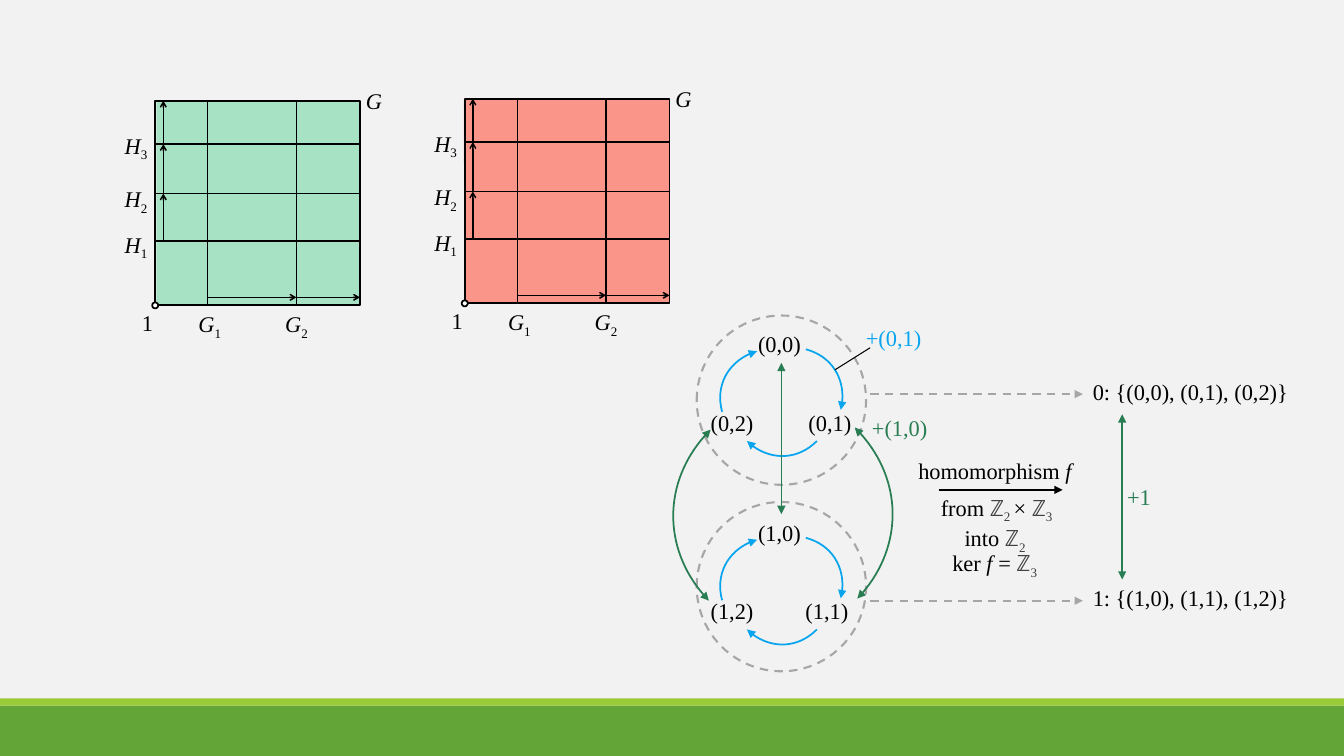
"""Build a slide with two subgroup grids and a homomorphism diagram."""
from dataclasses import dataclass

from lxml.etree import SubElement
from pptx import Presentation
from pptx.dml.color import RGBColor
from pptx.enum.dml import MSO_LINE_DASH_STYLE as Dash
from pptx.enum.shapes import MSO_CONNECTOR as Connector, MSO_SHAPE as Preset
from pptx.enum.text import MSO_AUTO_SIZE as AutoSize, PP_ALIGN as Align
from pptx.oxml.ns import qn
from pptx.util import Inches, Pt


@dataclass(frozen=True)
class Theme:
    paper: str = "F2F2F2"
    band: str = "63A537"
    stripe: str = "99CB38"
    mint: str = "A8E2C5"
    coral: str = "FA958A"
    ink: str = "000000"
    soft: str = "404040"
    white: str = "FFFFFF"
    blue: str = "08A5EF"
    green: str = "297D53"
    grey: str = "A6A6A6"
    serif: str = "Times New Roman"
    sans: str = "Calibri"
    size: int = 16
    fine: float = 0.75
    thin: float = 1
    medium: float = 1.25
    thick: float = 1.5


THEME = Theme()
TRIANGLE = {"type": "triangle"}
OPEN = {"type": "arrow", "w": "sm", "len": "sm"}
PLAIN = (None, None)
BOTH = (TRIANGLE, TRIANGLE)
TO_END = (None, TRIANGLE)
OPEN_END = (None, OPEN)

BANDS = [((0, 7, 13.33, 0.5), THEME.band), ((0, 6.93, 13.33, 0.07), THEME.stripe)]

GRIDS = [
    (1.54, 1.0, THEME.mint, [(1.14, 0.01, 0.9, 2.01), (0.01, 0.01, 1.39, 2.02)]),
    (4.61, 0.98, THEME.coral, [(-0.01, 0.01, 2.04, 0.63), (0.01, 0.43, 2.02, 1.59)]),
]
GRID_SIDE = 2.03
COLUMNS = [0.52, 1.4]
ROWS = [1.39, 0.92, 0.43]
ROW_LABELS = [1.24, 0.79, 0.26]
COLUMN_LABELS = [0.33, 1.19]

RINGS = [4.98, 3.13]
CYCLE_TOPS = [3.23, 5.1]
CYCLES = [
    [("(0,0)", 7.42, 0), ("(0,1)", 7.92, 0.78), ("(0,2)", 6.95, 0.78)],
    [("(1,0)", 7.42, 0), ("(1,1)", 7.89, 0.77), ("(1,2)", 6.95, 0.77)],
]
CYCLE_ARCS = [(7.92, 0.29, 15), (7.51, 0.9, 135), (7.09, 0.31, 255)]
SIDE_ARCS = [(7.89, 4.49, 44.1), (6.44, 4.51, 225.6)]
ARC_POINTS = [(0, 0), (0.55, 0), (1, 0.45), (1, 1)]

LABELS = [
    ((8.49, 3.17, 0.84), "+(0,1)", THEME.blue),
    ((8.55, 4.06, 0.84), "+(1,0)", THEME.green),
    ((11.08, 4.74, 0.49), "+1", THEME.green),
    ((10.74, 3.7, 2.34), "0: {(0,0), (0,1), (0,2)}", THEME.ink),
    ((10.74, 5.75, 2.34), "1: {(1,0), (1,1), (1,2)}", THEME.ink),
]

Z = ("ℤ", "grey sans")
FORMULAS = [
    ((9.01, 4.49, 1.86, 0.37), Align.LEFT, [[("homomorphism", ""), (" f", "italic")]]),
    ((9.2, 4.85, 1.37, 0.64), Align.CENTER, [
        [("from ", ""), Z, ("2 ", "grey sub"), ("× ", ""), Z, ("3", "grey sub")],
        [("into ", ""), Z, ("2 ", "grey sub")],
    ]),
    ((9.27, 5.4, 1.19, 0.37), Align.CENTER, [
        [("ker ", ""), ("f ", "italic"), ("= ", ""), Z, ("3", "grey sub")],
    ]),
]

LINES = [
    ((7.75, 3.6), (7.75, 5.1), THEME.green, THEME.thin, BOTH, False),
    ((8.63, 3.45), (8.28, 3.67), THEME.ink, THEME.fine, PLAIN, False),
    ((9.31, 4.86), (10.54, 4.86), THEME.ink, THEME.thin, TO_END, False),
    ((11.13, 4.11), (11.13, 5.75), THEME.green, THEME.thin, BOTH, False),
    ((8.63, 3.91), (10.74, 3.91), THEME.grey, THEME.thick, TO_END, True),
    ((8.63, 5.96), (10.74, 5.96), THEME.grey, THEME.thick, TO_END, True),
]


def rgb(color):
    return RGBColor.from_string(color)


def style_line(line, color, width, ends=PLAIN, dashed=False):
    line.color.rgb = rgb(color)
    line.width = Pt(width)
    if dashed:
        line.dash_style = Dash.DASH
    for tag, head in zip(("a:headEnd", "a:tailEnd"), ends):
        if head:
            SubElement(line._get_or_add_ln(), qn(tag), head)


def add_preset(part, preset, place, fill=None, line=None, width=THEME.medium, dashed=False):
    shape = part.shapes.add_shape(preset, *map(Inches, place))
    shape.shadow.inherit = False
    if fill:
        shape.fill.solid()
        shape.fill.fore_color.rgb = rgb(fill)
    else:
        shape.fill.background()
    if line:
        style_line(shape.line, line, width, dashed=dashed)
    else:
        shape.line.fill.background()


def add_line(part, start, end, color=THEME.ink, width=THEME.thin, ends=PLAIN, dashed=False):
    points = map(Inches, (*start, *end))
    connector = part.shapes.add_connector(Connector.STRAIGHT, *points)
    style_line(connector.line, color, width, ends, dashed)
    SubElement(connector._element.spPr, qn("a:effectLst"))


def add_arc(part, left, top, radius, turn, color, ends):
    points = [(Inches(left + radius * x), Inches(top + radius * y)) for x, y in ARC_POINTS]
    builder = part.shapes.build_freeform(*points[0])
    builder.add_line_segments(points[1:], close=False)
    arc = builder.convert_to_shape()
    outline = next(arc._element.iter(qn("a:path")))
    segments = outline.findall(qn("a:lnTo"))
    curve = SubElement(outline, qn("a:cubicBezTo"))
    for segment in segments:
        curve.append(segment[0])
        outline.remove(segment)
    arc.rotation = turn
    arc.shadow.inherit = False
    arc.fill.background()
    style_line(arc.line, color, THEME.medium, ends)


def add_text(part, place, paragraphs, color=THEME.ink, align=Align.LEFT):
    box = part.shapes.add_textbox(*map(Inches, place))
    frame = box.text_frame
    frame.word_wrap = False
    frame.auto_size = AutoSize.SHAPE_TO_FIT_TEXT
    for index, spans in enumerate(paragraphs):
        para = frame.add_paragraph() if index else frame.paragraphs[0]
        para.alignment = align
        for text, style in spans:
            span = para.add_run()
            span.text = text
            span.font.size = Pt(THEME.size)
            span.font.name = THEME.sans if "sans" in style else THEME.serif
            span.font.italic = "italic" in style
            span.font.color.rgb = rgb(THEME.soft if "grey" in style else color)
            if "sub" in style:
                span._r.get_or_add_rPr().set("baseline", "-25000")


def draw_grid(part, left, top, fill, patches):
    right, bottom = left + GRID_SIDE, top + GRID_SIDE
    for x, y, width, height in patches:
        add_preset(part, Preset.RECTANGLE, (left + x, top + y, width, height), fill)
    add_preset(part, Preset.RECTANGLE, (left, top, GRID_SIDE, GRID_SIDE), line=THEME.ink)
    add_text(part, (left - 0.23, top + 2.02, 0.31, 0.37), [[("1", "")]])
    add_preset(part, Preset.OVAL, (left - 0.03, bottom - 0.03, 0.06, 0.06), THEME.white, THEME.ink)
    add_text(part, (right - 0.04, top - 0.18, 0.38, 0.37), [[("G", "italic")]])
    for x in COLUMNS:
        add_line(part, (left + x, bottom), (left + x, top))
    for y in ROWS:
        add_line(part, (right, top + y), (left, top + y))
    for y, next_y in zip(ROWS, ROWS[1:] + [0]):
        add_line(part, (left + 0.08, top + y), (left + 0.08, top + next_y), ends=OPEN_END)
    for x, next_x in zip(COLUMNS, COLUMNS[1:] + [GRID_SIDE]):
        add_line(part, (left + x, top + 1.95), (left + next_x, top + 1.95), ends=OPEN_END)
    for number, y in enumerate(ROW_LABELS, 1):
        add_text(part, (left - 0.42, top + y, 0.44, 0.37),
                 [[("H", "italic"), (str(number), "sub")]], align=Align.RIGHT)
    for number, x in enumerate(COLUMN_LABELS, 1):
        add_text(part, (left + x, top + 2.03, 0.45, 0.37),
                 [[("G", "italic"), (str(number), "sub")]])


def draw_homomorphism(part):
    for top in RINGS:
        add_preset(part, Preset.OVAL, (6.91, top, 1.68, 1.68),
                   line=THEME.grey, width=THEME.thick, dashed=True)
    for top, nodes in zip(CYCLE_TOPS, CYCLES):
        for text, left, drop in nodes:
            add_text(part, (left, top + drop, 0.66, 0.37), [[(text, "")]])
        for left, drop, turn in CYCLE_ARCS:
            add_arc(part, left, top + drop, 0.49, turn, THEME.blue, TO_END)
    for left, top, turn in SIDE_ARCS:
        add_arc(part, left, top, 1.2, turn, THEME.green, BOTH)
    for line in LINES:
        add_line(part, *line)
    for place, text, color in LABELS:
        add_text(part, (*place, 0.37), [[(text, "")]], color=color)
    for place, align, paragraphs in FORMULAS:
        add_text(part, place, paragraphs, align=align)


deck = Presentation()
deck.slide_width, deck.slide_height = Inches(13.33), Inches(7.5)
page = deck.slides.add_slide(deck.slide_layouts[6])
page.background.fill.solid()
page.background.fill.fore_color.rgb = rgb(THEME.paper)
for place, fill in BANDS:
    add_preset(page, Preset.RECTANGLE, place, fill)
for grid in GRIDS:
    draw_grid(page.shapes.add_group_shape(), *grid)
draw_homomorphism(page.shapes.add_group_shape())
deck.save("out.pptx")
